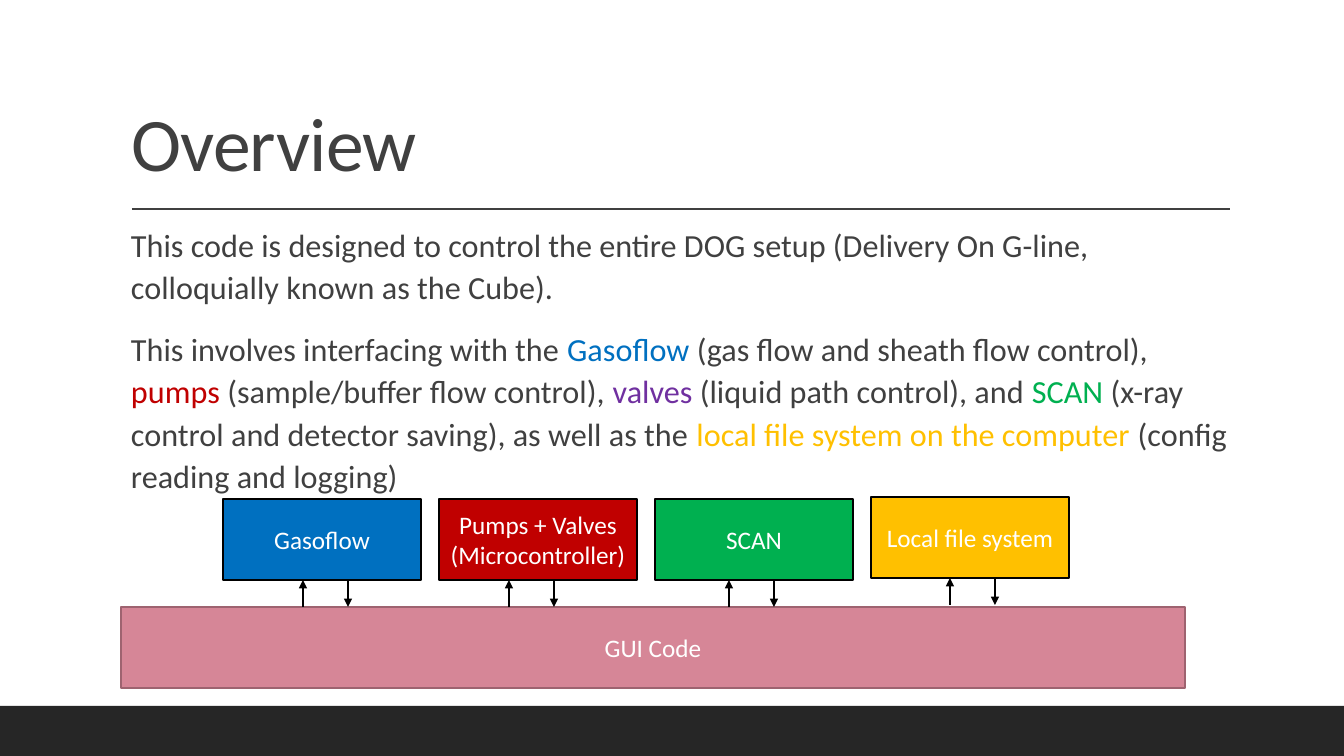
from lxml.etree import SubElement
from pptx import Presentation
from pptx.dml.color import RGBColor
from pptx.enum.shapes import MSO_CONNECTOR, MSO_SHAPE
from pptx.enum.text import MSO_ANCHOR, MSO_AUTO_SIZE, PP_ALIGN
from pptx.oxml.ns import qn
from pptx.util import Pt

COLORS = {
    "text": "404040", "bar": "262626", "white": "FFFFFF", "black": "000000",
    "blue": "0070C0", "red": "C00000", "purple": "7030A0", "green": "00B050",
    "gold": "FFC000", "pink": "D68697", "rose": "9E6370",
}
FONT = "Calibri"
TITLE = "Overview"
BODY = [
    [("This code is designed to control the entire DOG setup (Delivery On "
      "G-line, colloquially known as the Cube).", "text")],
    [("This involves interfacing with the ", "text"),
     ("Gasoflow", "blue"),
     (" (gas flow and sheath flow control), ", "text"),
     ("pumps", "red"),
     (" (sample/buffer flow control), ", "text"),
     ("valves", "purple"),
     (" (liquid path control), and ", "text"),
     ("SCAN", "green"),
     (" (x-ray control and detector saving), as well as the ", "text"),
     ("local file system on the computer ", "gold"),
     ("(config reading and logging)", "text")],
]
# Lines of text, fill, top of box, x of the upward arrow
PARTS = [
    (["Gasoflow"], "blue", 499, 303),
    (["Pumps + Valves", "(Microcontroller)"], "red", 499, 509),
    (["SCAN"], "green", 499, 729),
    (["Local file system"], "gold", 497, 950),
]
LEFT, PITCH, WIDE, HIGH = 223, 216, 198, 81
GAP, PAIR = 27, 45  # arrow length, distance between paired arrows


def px(n):
    return round(n * 914400 / 100.8)


def rgb(name):
    return RGBColor.from_string(COLORS[name])


def style(font, size, color):
    font.name, font.size = FONT, Pt(size)
    font.color.rgb = rgb(color)


def box(x, y, w, h, fill, edge=None, lines=()):
    shape = slide.shapes.add_shape(MSO_SHAPE.RECTANGLE, px(x), px(y), px(w), px(h))
    shape.shadow.inherit = False
    shape.fill.solid()
    shape.fill.fore_color.rgb = rgb(fill)
    if edge:
        shape.line.color.rgb = rgb(edge)
        shape.line.width = Pt(1.25)
    else:
        shape.line.fill.background()
    frame = shape.text_frame
    frame.vertical_anchor = MSO_ANCHOR.MIDDLE
    for i, text in enumerate(lines):
        para = frame.add_paragraph() if i else frame.paragraphs[0]
        para.text = text
        para.alignment = PP_ALIGN.CENTER
        style(para.font, 18, "white")


def line(x1, y1, x2, y2, color, arrow=False):
    link = slide.shapes.add_connector(
        MSO_CONNECTOR.STRAIGHT, px(x1), px(y1), px(x2), px(y2))
    link.line.color.rgb = rgb(color)
    link.line.width = Pt(1)
    if arrow:
        SubElement(link.line._get_or_add_ln(), qn("a:tailEnd"), type="triangle")
    SubElement(link._element.spPr, qn("a:effectLst"))


deck = Presentation()
deck.slide_width, deck.slide_height = px(1344), px(756)
slide = deck.slides.add_slide(deck.slide_layouts[5])

# Bottom bar and rule under the title
box(0, 706, 1344, 50, "bar")
line(132, 209, 1230, 209, "text")

# Title
title = slide.shapes.title
title.left, title.top, title.width, title.height = px(121), px(31), px(1109), px(160)
frame = title.text_frame
frame.text = TITLE
frame.auto_size = MSO_AUTO_SIZE.NONE
frame.vertical_anchor = MSO_ANCHOR.BOTTOM
para = frame.paragraphs[0]
para.alignment = PP_ALIGN.LEFT
para.line_spacing = 0.8
style(para.font, 54, "text")
para.runs[0]._r.get_or_add_rPr().set("spc", "-50")

# Body text
frame = slide.shapes.add_textbox(px(121), px(216), px(1109), px(431)).text_frame
frame.word_wrap = True
frame.margin_left, frame.margin_right = px(10), 0
for i, runs in enumerate(BODY):
    para = frame.add_paragraph() if i else frame.paragraphs[0]
    para.line_spacing = 1.1
    para.space_before, para.space_after = Pt(12), Pt(2)
    for text, color in runs:
        run = para.add_run()
        run.text = text
        style(run.font, 23, color)

# Devices, each with a pair of arrows to the code below
box(121, 607, 1064, HIGH, "pink", "rose", ["GUI Code"])
for i, (lines, fill, top, up) in enumerate(PARTS):
    box(LEFT + i * PITCH, top, WIDE, HIGH, fill, "black", lines)
    end = top + HIGH
    line(up, end + GAP, up, end, "black", arrow=True)
    line(up + PAIR, end, up + PAIR, end + GAP, "black", arrow=True)

deck.save("out.pptx")
